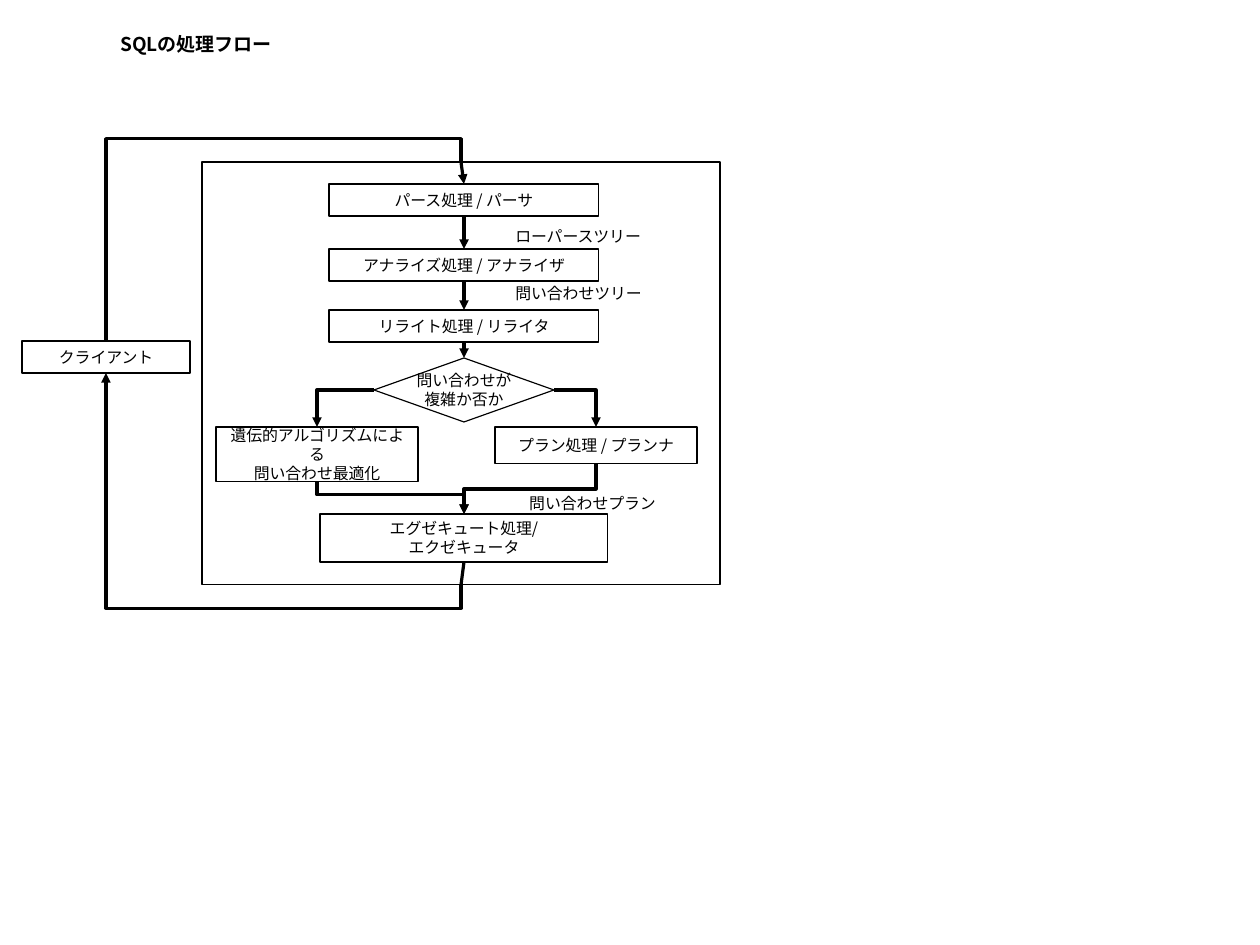
from lxml import etree
from pptx import Presentation
from pptx import util as u
from pptx.dml import color
from pptx.enum import lang, shapes, text
from pptx.oxml import ns

PX = 8000
INK = "000000"
FACE = "Noto Sans CJK JP"
FONT = {"name": FACE, "language_id": lang.MSO_LANGUAGE_ID.JAPANESE}
BOX = {"word_wrap": True, "vertical_anchor": text.MSO_ANCHOR.MIDDLE}
NOTE = {"word_wrap": False, "auto_size": text.MSO_AUTO_SIZE.SHAPE_TO_FIT_TEXT}


def write(frame, lines, look, align, size=10, bold=False, gap=0):
    """Fill a text frame, one paragraph a line, with gap points between them."""
    for key, val in look.items():
        setattr(frame, key, val)
    for i, line in enumerate(lines):
        para = frame.paragraphs[0] if i == 0 else frame.add_paragraph()
        para.alignment = align
        para.space_before = u.Pt(gap if i else 0)
        run = para.add_run()
        run.text = line
        run.font.color.rgb = color.RGBColor.from_string(INK)
        for key, val in {**FONT, "size": u.Pt(size), "bold": bold}.items():
            setattr(run.font, key, val)
        asian = etree.SubElement(run.font._element, ns.qn("a:ea"))
        asian.set("typeface", FACE)


def link(kind, ends, arrow):
    """Add a thin black connector between two points."""
    wire = slide.shapes.add_connector(kind, *[v * PX for v in ends])
    wire.line.color.rgb = color.RGBColor.from_string(INK)
    wire.line.width = 0
    if arrow:
        tail = etree.SubElement(wire.line._get_or_add_ln(), ns.qn("a:tailEnd"))
        tail.set("type", "triangle")
    etree.SubElement(wire._element.spPr, ns.qn("a:effectLst"))
    return wire


deck = Presentation()
deck.slide_width, deck.slide_height = 1260 * PX, 945 * PX
slide = deck.slides.add_slide(deck.slide_layouts[6])

# Boxes of the flow
RECT = shapes.MSO_SHAPE.RECTANGLE
DIAMOND = shapes.MSO_SHAPE.DIAMOND
nodes = {}
for name, form, x, y, w, h, lines in [
    ("parse", RECT, 329, 184, 270, 32, ["パース処理 / パーサ"]),
    ("analyze", RECT, 329, 249, 270, 32, ["アナライズ処理 / アナライザ"]),
    ("rewrite", RECT, 329, 310, 270, 32, ["リライト処理 / リライタ"]),
    ("plan", RECT, 495, 427, 202, 37, ["プラン処理 / プランナ"]),
    ("genes", RECT, 216, 427, 202, 55, ["遺伝的アルゴリズムによる", "問い合わせ最適化"]),
    ("run", RECT, 320, 514, 288, 48, ["エグゼキュート処理/", "エクゼキュータ"]),
    ("choice", DIAMOND, 374, 358, 180, 64, ["問い合わせが", "複雑か否か"]),
    ("server", RECT, 202, 162, 518, 423, []),
    ("client", RECT, 22, 341, 168, 32, ["クライアント"]),
]:
    node = slide.shapes.add_shape(form, *[v * PX for v in (x, y, w, h)])
    node.shadow.inherit = False
    node.fill.background()
    node.line.color.rgb = color.RGBColor.from_string(INK)
    node.line.width = 0
    look = {**BOX, "word_wrap": form == RECT}
    write(node.text_frame, lines, look, text.PP_ALIGN.CENTER)
    nodes[name] = node

# Straight links, joined at side middles (0 top, 2 bottom)
for start, out, end, into, arrow in [
    ("server", 0, "parse", 0, True),
    ("parse", 2, "analyze", 0, True),
    ("analyze", 2, "rewrite", 0, True),
    ("rewrite", 2, "choice", 0, True),
    ("run", 2, "server", 2, False),
]:
    wire = link(shapes.MSO_CONNECTOR.STRAIGHT, (0, 0, 0, 0), arrow)
    wire.begin_connect(nodes[start], out)
    wire.end_connect(nodes[end], into)

# Bent links: those with a bend share leave vertically, the others sideways
for x1, y1, x2, y2, bend, arrow in [
    (106, 341, 461, 162, 1.13, False),
    (461, 585, 106, 373, -0.11, True),
    (554, 390, 596, 427, None, True),
    (374, 390, 317, 427, None, True),
    (596, 464, 464, 514, 0.5, True),
    (317, 482, 464, 514, 0.4, True),
]:
    wide, tall = abs(x2 - x1), abs(y2 - y1)
    right, up = x2 > x1, y2 < y1
    if bend is None:
        left, top = min(x1, x2), min(y1, y2)
        turn, flips, preset = 0 if right else 180, (False, not right), "bentConnector2"
    else:
        left, top = (x1 + x2 - tall) / 2, (y1 + y2 - wide) / 2
        wide, tall = tall, wide
        turn, flips, preset = 90 if up == right else 270, (right, up), "bentConnector3"
    ends = [int(v * 2) / 2 for v in (left, top, left + wide, top + tall)]
    wire = link(shapes.MSO_CONNECTOR.ELBOW, [0, 0, 0, 0], arrow)
    wire.begin_x, wire.begin_y, wire.end_x, wire.end_y = [int(v * PX) for v in ends]
    frame = wire._element.spPr.find(ns.qn("a:xfrm"))
    frame.set("rot", str(turn * 60000))
    for key, on in zip(("flipH", "flipV"), flips):
        frame.set(key, str(int(on)))
    shape = wire._element.spPr.find(ns.qn("a:prstGeom"))
    shape.set("prst", preset)
    if bend is not None:
        guide = etree.SubElement(shape.find(ns.qn("a:avLst")), ns.qn("a:gd"))
        guide.set("name", "adj1")
        guide.set("fmla", f"val {round(bend * 100000)}")

# Title and labels
for x, y, w, h, lines, size, bold, gap in [
    (109, 27, 178, 39, ["SQLの処理フロー"], 12, True, 0),
    (504, 221, 150, 105, ["ローパースツリー", "問い合わせツリー"], 10, False, 24),
    (518, 488, 150, 37, ["問い合わせプラン"], 10, False, 0),
]:
    label = slide.shapes.add_textbox(*[v * PX for v in (x, y, w, h)])
    write(label.text_frame, lines, NOTE, text.PP_ALIGN.LEFT, size, bold, gap)

deck.save("out.pptx")
